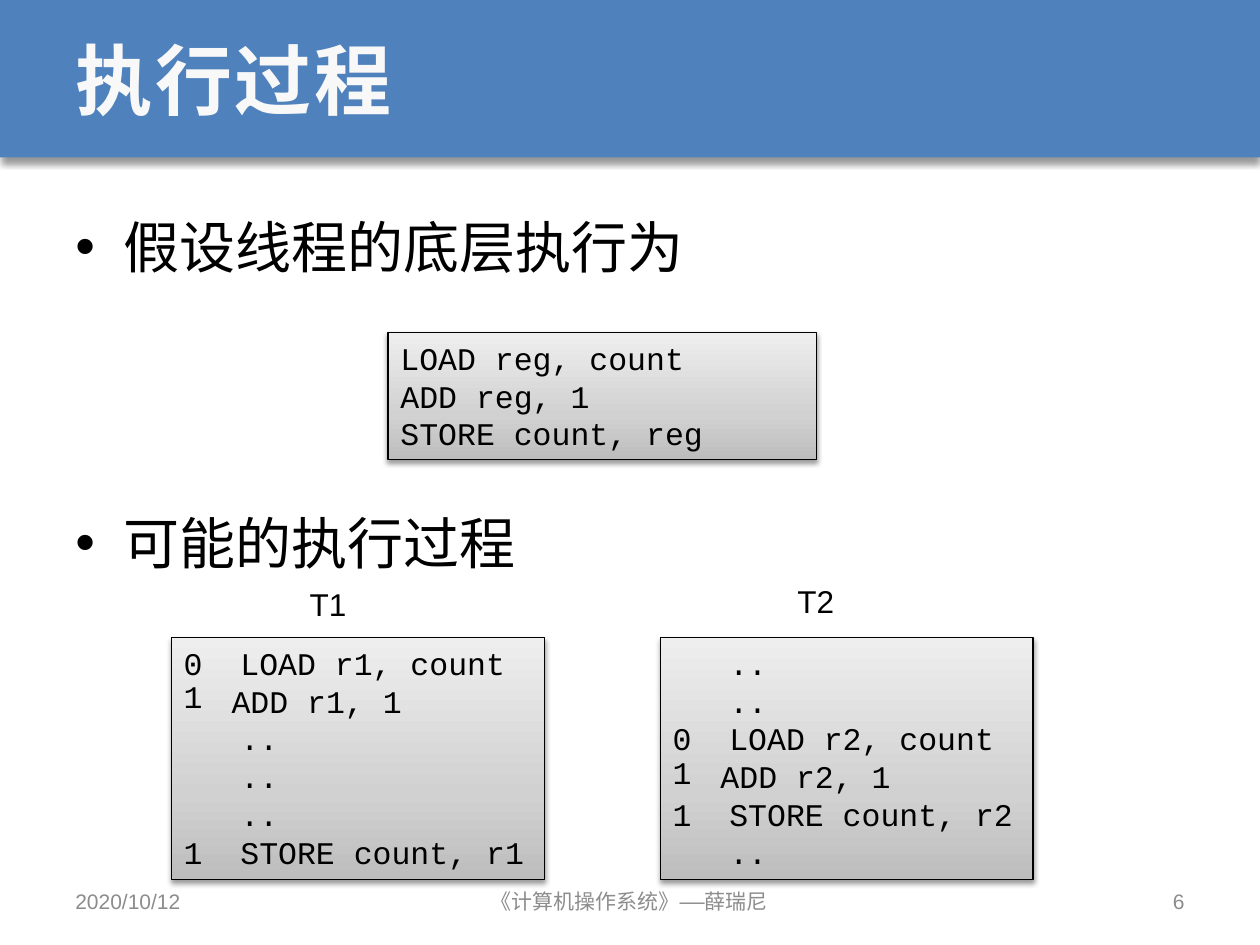
from lxml import etree
from copy import deepcopy
from pptx import Presentation
from pptx.dml.color import RGBColor
from pptx.enum.shapes import MSO_SHAPE
from pptx.enum.text import MSO_ANCHOR, PP_ALIGN
from pptx.oxml.ns import qn
from pptx.util import Inches, Pt

RECTANGLE = MSO_SHAPE.RECTANGLE
TOP, MIDDLE = MSO_ANCHOR.TOP, MSO_ANCHOR.MIDDLE
LEFT, CENTER, RIGHT = PP_ALIGN.LEFT, PP_ALIGN.CENTER, PP_ALIGN.RIGHT

THEME = {
    "banner": "4F81BD", "title": "F8F8F8", "text": "000000", "footer": "8C8C8C",
    "code_stops": [(0, "BDBDBD"), (0.35, "D1D1D1"), (1, "EEEEEE")],
    "chinese": "DejaVu Sans Mono", "latin": "Arial", "code": "Courier New",
    "title_size": 44, "body_size": 32, "code_size": 18, "footer_size": 12,
}

deck = Presentation()
deck.slide_width, deck.slide_height = Inches(10), Inches(7.5)
page = deck.slides.add_slide(deck.slide_layouts[5])
COL, ROW = deck.slide_width / 100, deck.slide_height / 75


def write(shape, lines, font, size, color, align=LEFT, anchor=TOP, wrap=True, bullets=None):
    frame = shape.text_frame
    frame.text = "\n".join(lines)
    frame.word_wrap = wrap
    frame.vertical_anchor = anchor
    for index, para in enumerate(frame.paragraphs):
        para.alignment = align
        bullet = (bullets or {}).get(index)
        if bullet:
            props = para._p.get_or_add_pPr()
            props.set("marL", str(Inches(0.38)))
            props.set("indent", str(-Inches(0.38)))
            bullet_font = THEME["latin"] if bullet == "•" else font
            etree.SubElement(props, qn("a:buFont")).set("typeface", bullet_font)
            etree.SubElement(props, qn("a:buChar")).set("char", bullet)
        for span in para.runs:
            span.font.name = font
            span.font.size = Pt(size)
            span.font.color.rgb = RGBColor.from_string(THEME[color])
            east_asian = deepcopy(span._r.rPr.find(qn("a:latin")))
            east_asian.tag = qn("a:ea")
            span._r.rPr.find(qn("a:latin")).addnext(east_asian)


def add_shadowed_box(left, top, width, height, blur, distance, opacity):
    box = page.shapes.add_shape(
        RECTANGLE, int(left * COL), int(top * ROW), int(width * COL), int(height * ROW))
    box.shadow.inherit = False
    effects = box._element.spPr.find(qn("a:effectLst"))
    shadow = etree.SubElement(effects, qn("a:outerShdw"), blurRad=str(Pt(blur)),
                              dist=str(Pt(distance)), dir="5400000", rotWithShape="0")
    shade = etree.SubElement(shadow, qn("a:srgbClr"), val=THEME["text"])
    etree.SubElement(shade, qn("a:alpha"), val=str(opacity * 1000))
    return box


banner = add_shadowed_box(0, 0, 100, 12.5, 4, 3, 40)
banner.fill.solid()
banner.fill.fore_color.rgb = RGBColor.from_string(THEME["banner"])
banner.line.fill.background()
page.shapes._spTree.insert(2, banner._element)

title = page.shapes.title
title.left, title.top = int(5 * COL), 0
title.width, title.height = int(90 * COL), int(12.5 * ROW)
write(title, ["执行过程"], THEME["chinese"], THEME["title_size"], "title", anchor=MIDDLE)
title_span = title.text_frame.paragraphs[0].runs[0]
title_span.font.bold = True
title_span._r.rPr.set("spc", "150")

body = page.shapes.add_textbox(int(5 * COL), int(14.8 * ROW), int(90 * COL), int(53.3 * ROW))
write(body, ["假设线程的底层执行为", "可能的执行过程"], THEME["chinese"],
      THEME["body_size"], "text", bullets={0: "•", 1: "•"})
for para in body.text_frame.paragraphs:
    para.line_spacing = 1.3
body.text_frame.paragraphs[1].space_before = Pt(119)

footers = [
    (5, 23.3, "2020/10/12", THEME["latin"], LEFT),
    (28.3, 43.3, "《计算机操作系统》——薛瑞尼", THEME["chinese"], CENTER),
    (71.7, 23.3, "6", THEME["latin"], RIGHT),
]
for left, width, words, font, align in footers:
    footer = page.shapes.add_textbox(int(left * COL), int(69.5 * ROW), int(width * COL), int(4 * ROW))
    write(footer, [words], font, THEME["footer_size"], "footer", align, MIDDLE)

code_boxes = [
    (30.8, 26.4, 34, 10.1, ["LOAD reg, count", "ADD reg, 1", "STORE count, reg"], None),
    (13.6, 50.6, 29.6, 19.2,
     ["0  LOAD r1, count", "ADD r1, 1", "   ..", "   ..", "   ..", "1  STORE count, r1"], {1: "1"}),
    (52.4, 50.6, 29.6, 19.2,
     ["   ..", "   ..", "0  LOAD r2, count", "ADD r2, 1", "1  STORE count, r2", "   .."], {3: "1"}),
]
for left, top, width, height, lines, bullets in code_boxes:
    box = add_shadowed_box(left, top, width, height, 3.1, 1.6, 38)
    box.fill.gradient()
    box.fill.gradient_angle = 90
    stop_list = box._element.spPr.find(".//" + qn("a:gsLst"))
    stop_list.append(deepcopy(stop_list[0]))
    for stop, (position, color) in zip(box.fill.gradient_stops, THEME["code_stops"]):
        stop.position = position
        stop.color.rgb = RGBColor.from_string(color)
    box.line.color.rgb = RGBColor.from_string(THEME["text"])
    box.line.width = Pt(0.75)
    write(box, lines, THEME["code"], THEME["code_size"], "text", bullets=bullets)

for left, top, name in [(23.6, 45.9, "T1"), (62.3, 45.7, "T2")]:
    label = page.shapes.add_textbox(int(left * COL), int(top * ROW), int(5 * COL), int(4 * ROW))
    write(label, [name], THEME["latin"], THEME["code_size"], "text", wrap=False)

deck.save("out.pptx")
